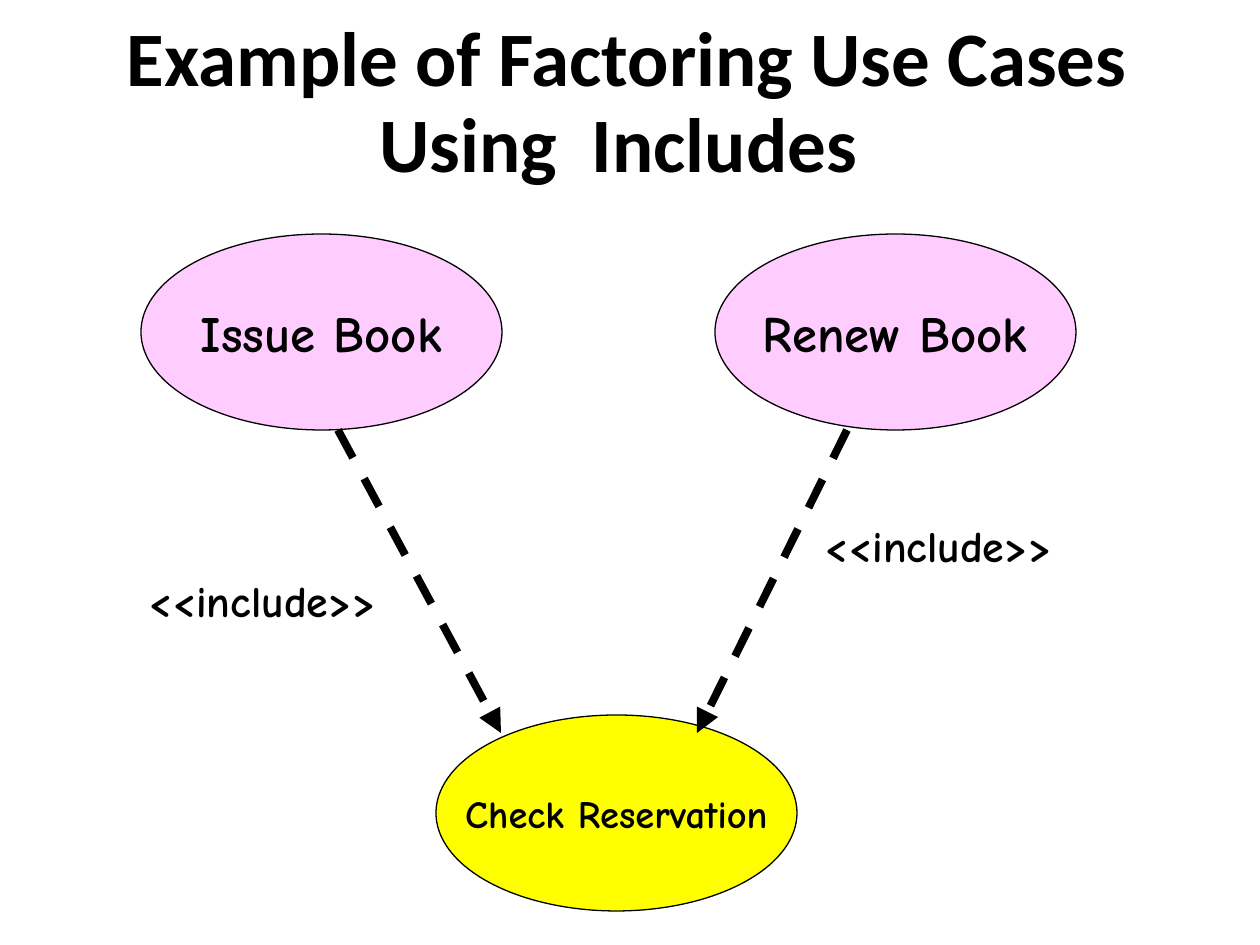
from lxml import etree
from pptx import Presentation
from pptx.dml.color import RGBColor
from pptx.enum.dml import MSO_LINE
from pptx.enum.shapes import MSO_CONNECTOR, MSO_SHAPE
from pptx.enum.text import MSO_ANCHOR, PP_ALIGN
from pptx.oxml.ns import qn
from pptx.util import Pt

OVAL, STRAIGHT, DASH = MSO_SHAPE.OVAL, MSO_CONNECTOR.STRAIGHT, MSO_LINE.DASH
TOP, MIDDLE = MSO_ANCHOR.TOP, MSO_ANCHOR.MIDDLE
LEFT, CENTER = PP_ALIGN.LEFT, PP_ALIGN.CENTER

THEME = {
    "ink": "000000", "base": "FFCCFF", "shared": "FFFF00",
    "title_font": "Calibri", "font": "Comic Neue",
    "title": 44, "case": 29, "shared_case": 22, "label": 25,
    "outline": 0.75, "arrow": 4.5,
}

# Content, lengths in px (126 to the inch)
TITLE = ("Example of Factoring Use Cases Using  Includes ", (55, -21, 1145, 249))
CASE_SIZE = (361, 196)
USE_CASES = [  # text, left, top, fill, type size
    ("Issue Book", 141, 234, "base", "case"),
    ("Check Reservation", 436, 715, "shared", "shared_case"),
    ("Renew Book", 715, 234, "base", "case"),
]
ARROWS = [(338, 430, 501, 733), (847, 430, 697, 733)]
LABEL_SIZE = (280, 67)
LABELS = [("<<include>>", 135, 567), ("<<include>>", 811, 512)]


def px(*lengths):
    return [round(n * 914400 / 126) for n in lengths]


def color(name):
    return RGBColor.from_string(THEME[name])


def write(sp, text, size, font="font", align=LEFT, anchor=TOP, wrap=True,
          inset=(14, 7), spacing=None, before=None):
    tf = sp.text_frame
    tf.word_wrap, tf.vertical_anchor = wrap, anchor
    tf.margin_left, tf.margin_top = tf.margin_right, tf.margin_bottom = px(*inset)
    p = tf.paragraphs[0]
    p.alignment = align
    if spacing:
        p.line_spacing = spacing
    if before:
        p.space_before = Pt(before)
    r = p.add_run()
    r.text = text
    r.font.name, r.font.size, r.font.bold = THEME[font], Pt(THEME[size]), True
    r.font.color.rgb = color("ink")


prs = Presentation()
prs.slide_width, prs.slide_height = px(1260, 945)
shapes = prs.slides.add_slide(prs.slide_layouts[6]).shapes

# Title
text, box = TITLE
write(shapes.add_textbox(*px(*box)), text, "title", font="title_font", align=CENTER,
      anchor=MIDDLE, inset=(3, 6), spacing=0.94, before=12.3)

# Use cases
for text, left, top, fill, size in USE_CASES:
    sp = shapes.add_shape(OVAL, *px(left, top, *CASE_SIZE))
    sp.shadow.inherit = False
    sp.fill.solid()
    sp.fill.fore_color.rgb = color(fill)
    sp.line.color.rgb = color("ink")
    sp.line.width = Pt(THEME["outline"])
    write(sp, text, size, align=CENTER, anchor=MIDDLE, wrap=False)

# Dashed include arrows
for ends in ARROWS:
    sp = shapes.add_connector(STRAIGHT, *px(*ends))
    sp.line.color.rgb = color("ink")
    sp.line.width = Pt(THEME["arrow"])
    sp.line.dash_style = DASH
    etree.SubElement(sp.line._get_or_add_ln(), qn("a:tailEnd"), type="triangle")
    etree.SubElement(sp._element.spPr, qn("a:effectLst"))

# Arrow labels
for text, left, top in LABELS:
    write(shapes.add_textbox(*px(left, top, *LABEL_SIZE)), text, "label")

prs.save("out.pptx")
